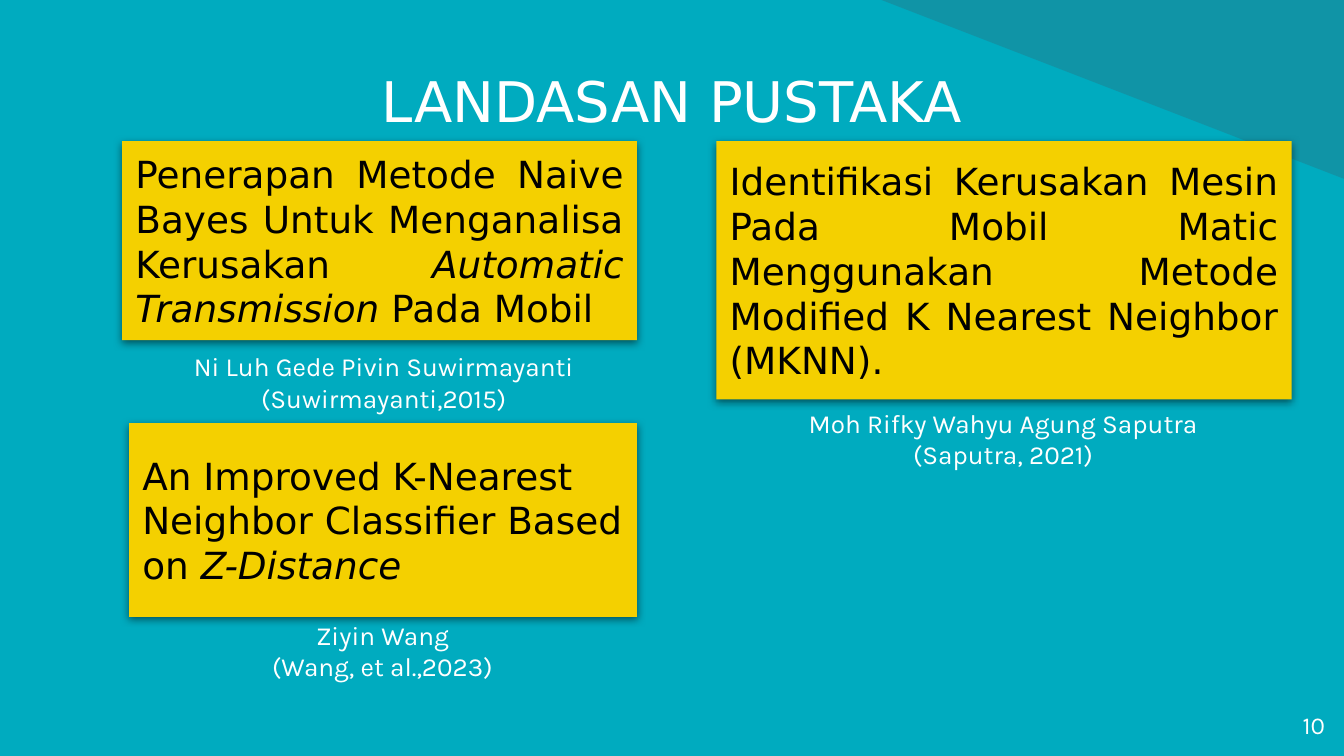
"""Build the literature review slide with three cited studies."""
import pptx
import pptx.dml.color
import pptx.enum.shapes
import pptx.enum.text
import pptx.oxml
import pptx.oxml.ns
import pptx.util

Cm = pptx.util.Cm
Align = pptx.enum.text.PP_ALIGN
Anchor = pptx.enum.text.MSO_ANCHOR
Shape = pptx.enum.shapes.MSO_SHAPE

COLORS = {"background": "00ABBF", "corner": "336574", "card": "F4D000",
          "light": "FFFFFF", "dark": "000000"}
HEADING_FONT, BODY_FONT = "DejaVu Sans", "Karla"
SLIDE_WIDTH, SLIDE_HEIGHT = 25.4, 14.29
INSET = 0.25
CAPTION_HEIGHT = 1.7

TITLE = "LANDASAN PUSTAKA"
PAGE_NUMBER = "10"
STUDIES = [
    {"card": (2.31, 2.67, 9.73, 3.76), "align": Align.JUSTIFY,
     "title": [("Penerapan Metode Naive Bayes Untuk Menganalisa Kerusakan ", False),
               ("Automatic Transmission", True), (" Pada Mobil", False)],
     "caption": (2.39, 6.63, 9.73),
     "credit": ["Ni Luh Gede Pivin Suwirmayanti", "(Suwirmayanti,2015)"]},
    {"card": (13.54, 2.67, 10.87, 4.88), "align": Align.JUSTIFY,
     "title": [("Identifikasi Kerusakan Mesin Pada Mobil Matic Menggunakan "
                "Metode Modified K Nearest Neighbor (MKNN).", False)],
     "caption": (14.17, 7.7, 9.58),
     "credit": ["Moh Rifky Wahyu Agung Saputra (Saputra, 2021)"]},
    {"card": (2.44, 8.0, 9.6, 3.66), "align": Align.LEFT,
     "title": [("An Improved K-Nearest Neighbor Classifier Based on ", False),
               ("Z-Distance", True)],
     "caption": (2.44, 11.71, 9.58),
     "credit": ["Ziyin Wang", "(Wang, et al.,2023)"]},
]


def rgb(name):
    return pptx.dml.color.RGBColor.from_string(COLORS[name])


def write(shape, paragraphs, size, font, color, align, anchor, top_inset=INSET):
    frame = shape.text_frame
    frame.word_wrap = True
    frame.vertical_anchor = anchor
    frame.margin_left = frame.margin_right = frame.margin_bottom = Cm(INSET)
    frame.margin_top = Cm(top_inset)
    for index, runs in enumerate(paragraphs):
        paragraph = frame.add_paragraph() if index else frame.paragraphs[0]
        paragraph.alignment = align
        for text, italic in runs:
            run = paragraph.add_run()
            run.text = text
            run.font.size = pptx.util.Pt(size)
            run.font.name = font
            run.font.italic = italic
            run.font.color.rgb = rgb(color)


def add_text(slide, box, lines, *style):
    shape = slide.shapes.add_textbox(*map(Cm, box))
    write(shape, [[(line, False)] for line in lines], *style)


def add_filled(slide, kind, box, color):
    shape = slide.shapes.add_shape(kind, *map(Cm, box))
    shape.shadow.inherit = False
    shape.fill.solid()
    shape.fill.fore_color.rgb = rgb(color)
    shape.line.fill.background()
    return shape


def add_corner(slide):
    width, height = 8.74, 3.38
    corner = add_filled(slide, Shape.RIGHT_TRIANGLE,
                        (SLIDE_WIDTH - width, 0, width, height), "corner")
    corner.rotation = 180
    color = corner._element.spPr.find(".//" + pptx.oxml.ns.qn("a:srgbClr"))
    color.append(pptx.oxml.parse_xml(
        f'<a:alpha {pptx.oxml.ns.nsdecls("a")} val="32000"/>'))


def add_card_shadow(card):
    effects = card._element.spPr.find(pptx.oxml.ns.qn("a:effectLst"))
    effects.append(pptx.oxml.parse_xml(
        f'<a:outerShdw {pptx.oxml.ns.nsdecls("a")} blurRad="57150" dist="19050" '
        'dir="5400000" algn="bl" rotWithShape="0">'
        f'<a:srgbClr val="{COLORS["dark"]}"><a:alpha val="50000"/></a:srgbClr>'
        '</a:outerShdw>'))


def add_study(slide, study):
    card = add_filled(slide, Shape.RECTANGLE, study["card"], "card")
    add_card_shadow(card)
    write(card, [study["title"]], 20, HEADING_FONT, "dark", study["align"], Anchor.MIDDLE)
    add_text(slide, (*study["caption"], CAPTION_HEIGHT), study["credit"],
             14, BODY_FONT, "light", Align.CENTER, Anchor.TOP, 0)


def main():
    presentation = pptx.Presentation()
    presentation.slide_width = Cm(SLIDE_WIDTH)
    presentation.slide_height = Cm(SLIDE_HEIGHT)
    slide = presentation.slides.add_slide(presentation.slide_layouts[6])
    slide.background.fill.solid()
    slide.background.fill.fore_color.rgb = rgb("background")

    add_corner(slide)
    add_text(slide, (1.98, 1.09, 21.44, 1.6), [TITLE],
             30, HEADING_FONT, "light", Align.CENTER, Anchor.MIDDLE)
    for study in STUDIES:
        add_study(slide, study)
    add_text(slide, (23.77, 13.18, 1.52, 1.09), [PAGE_NUMBER],
             13, BODY_FONT, "light", Align.RIGHT, Anchor.TOP)
    presentation.save("out.pptx")


if __name__ == "__main__":
    main()
